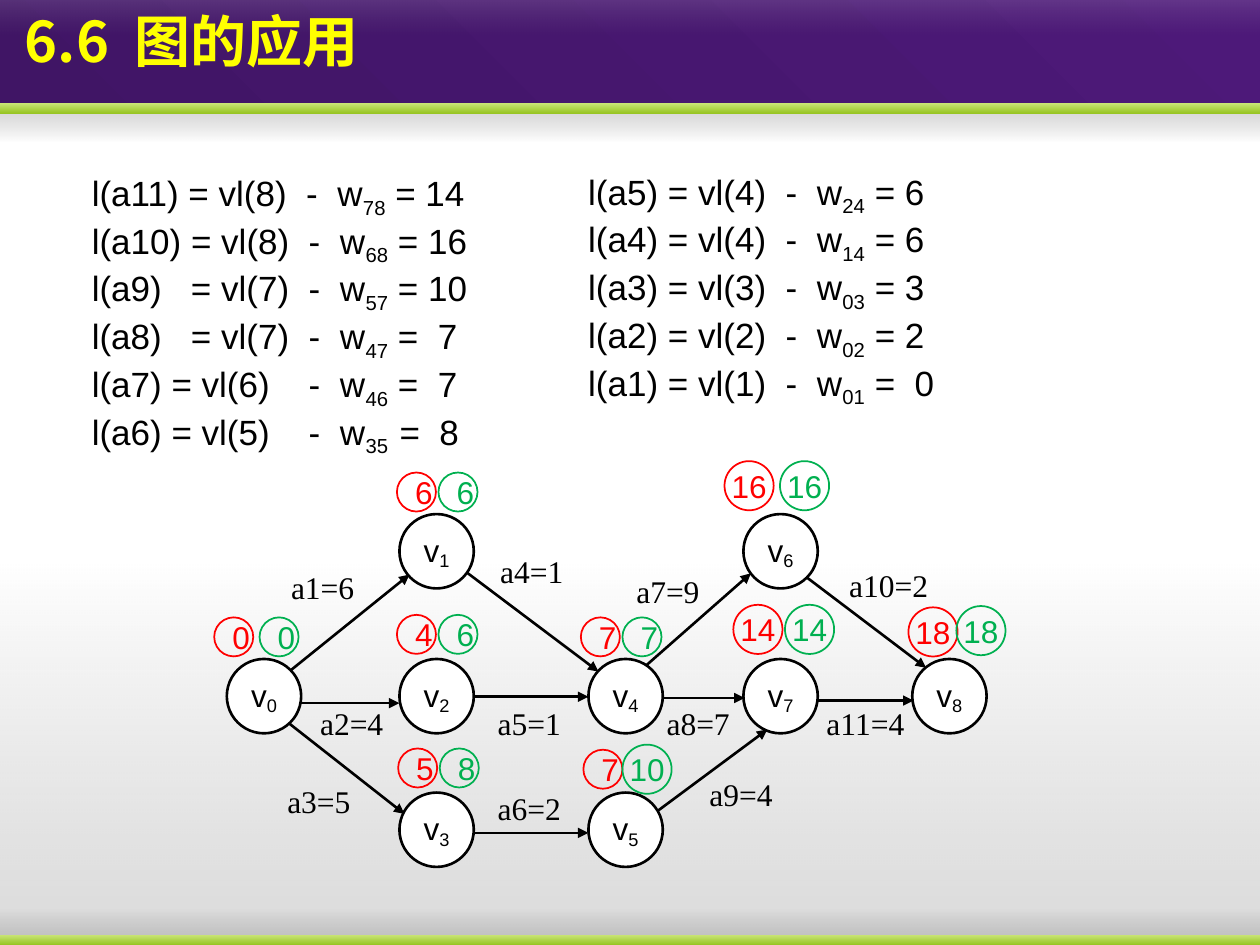
import pptx
import pptx.dml.color
import pptx.enum.shapes
import pptx.enum.text
import pptx.oxml
import pptx.oxml.ns
import pptx.util

Inches = pptx.util.Inches
Pt = pptx.util.Pt
RGBColor = pptx.dml.color.RGBColor
SHAPE = pptx.enum.shapes.MSO_SHAPE
MIDDLE = pptx.enum.text.MSO_ANCHOR.MIDDLE

BLACK = RGBColor(0, 0, 0)
WHITE = RGBColor(255, 255, 255)
RED = RGBColor(255, 0, 0)
GREEN = RGBColor(0, 0xB0, 0x50)
YELLOW = RGBColor(255, 255, 0)
SILVER = RGBColor(0xB6, 0xB6, 0xB6)
DARK_GRAY = RGBColor(0x5C, 0x5C, 0x5C)
GRAY = RGBColor(0x80, 0x80, 0x80)
LIME = RGBColor(0xC9, 0xE5, 0x76)
LEAF = RGBColor(0x97, 0xC5, 0x23)
DEEP_PURPLE = RGBColor(0x40, 0x15, 0x65)
PURPLE = RGBColor(0x4D, 0x19, 0x79)

LATE_START_LEFT = [
    ("l(a11) = vl(8)  -  w", "78", " = 14"),
    ("l(a10) = vl(8)  -  w", "68", " = 16"),
    ("l(a9)   = vl(7)  -  w", "57", " = 10"),
    ("l(a8)   = vl(7)  -  w", "47", " =  7"),
    ("l(a7) = vl(6)    -  w", "46", " =  7"),
    ("l(a6) = vl(5)    -  w", "35  ", "=  8"),
]
LATE_START_RIGHT = [
    ("l(a5) = vl(4)  -  w", "24", " = 6"),
    ("l(a4) = vl(4)  -  w", "14", " = 6"),
    ("l(a3) = vl(3)  -  w", "03", " = 3"),
    ("l(a2) = vl(2)  -  w", "02", " = 2"),
    ("l(a1) = vl(1)  -  w", "01", " =  0"),
]
COLUMNS = [0.1, 1.47, 2.97, 4.2, 5.54]
ROWS = [0.42, 1.57, 2.63]
VERTEX_CELLS = [(0, 1), (1, 0), (1, 1), (1, 2), (2, 1), (2, 2), (3, 0), (3, 1), (4, 1)]
ACTIVITIES = [
    ("a1=6", (0.61, 0.88), (0.57, 1.69), (1.55, 0.9)),
    ("a2=4", (0.84, 1.96), (0.68, 1.92), (1.47, 1.92)),
    ("a3=5", (0.58, 2.58), (0.58, 2.07), (1.51, 2.8)),
    ("a4=1", (2.27, 0.75), (1.96, 0.85), (3.05, 1.67)),
    ("a5=1", (2.25, 1.96), (1.96, 1.87), (2.97, 1.87)),
    ("a6=2", (2.25, 2.63), (1.97, 2.95), (2.97, 2.95)),
    ("a7=9", (3.35, 0.91), (3.35, 1.69), (4.26, 0.89)),
    ("a8=7", (3.59, 1.96), (3.42, 1.88), (4.21, 1.88)),
    ("a9=4", (3.93, 2.52), (3.42, 2.85), (4.39, 2.13)),
    ("a10=2", (5.04, 0.86), (4.62, 0.86), (5.65, 1.64)),
    ("a11=4", (4.86, 1.96), (4.76, 1.9), (5.55, 1.9)),
]
EVENT_TIMES = [
    (("0", 0, 1.24), ("0", 0.36, 1.24)),
    (("6", 1.45, 0.09), ("6", 1.78, 0.09)),
    (("4", 1.45, 1.22), ("6", 1.78, 1.22)),
    (("5", 1.46, 2.28), ("8", 1.79, 2.28)),
    (("7", 2.91, 1.24), ("7", 3.24, 1.24)),
    (("7", 2.93, 2.29), ("10", 3.24, 2.25)),
    (("16", 4.05, 0), ("16", 4.49, 0)),
    (("14", 4.12, 1.14), ("14", 4.53, 1.14)),
    (("18", 5.51, 1.16), ("18", 5.89, 1.15)),
]


def xml_child(parent, tag, **attributes):
    child = pptx.oxml.parse_xml(f"<a:{tag} {pptx.oxml.ns.nsdecls('a')}/>")
    for key, value in attributes.items():
        child.set(key, str(value))
    parent.append(child)


def format_run(run, size, font, color):
    run.font.size = Pt(size)
    run.font.name = font
    run.font.color.rgb = color


def add_runs(paragraph, pieces, size, subscript):
    for index, piece in enumerate(pieces):
        run = paragraph.add_run()
        run.text = piece
        format_run(run, size, "Arial", BLACK)
        if index == 1:
            run._r.get_or_add_rPr().set("baseline", str(subscript * 1000))


def clear_margins(frame):
    frame.margin_left = frame.margin_right = frame.margin_top = frame.margin_bottom = 0


def add_band(slide, left, top, width, height, colors, alphas=(100, 100), angle=270, turn=0):
    band = slide.shapes.add_shape(
        SHAPE.RECTANGLE, Inches(left), Inches(top), Inches(width), Inches(height))
    band.shadow.inherit = False
    band.line.fill.background()
    band.rotation = turn
    band.fill.gradient()
    band.fill.gradient_angle = angle
    for stop, color, alpha in zip(band.fill.gradient_stops, colors, alphas):
        stop.color.rgb = color
        if alpha < 100:
            xml_child(stop._gs[0], "alpha", val=alpha * 1000)


def add_footer(slide, left, bottom, width):
    shade = (DARK_GRAY, GRAY)
    add_band(slide, left, bottom - 0.28, width, 0.24, shade, (0, 33))
    add_band(slide, left, bottom - 3.04, width, 3.04, shade, (0, 29))
    add_band(slide, left, bottom - 0.08, width, 0.08, (LIME, LEAF))


def add_header(slide, left, top, width, height):
    add_band(slide, left, top, width, height, (DEEP_PURPLE, PURPLE), angle=45)
    add_band(slide, left, top + height - 0.02, width, 0.24, (DARK_GRAY, GRAY), (0, 33), turn=180)
    add_band(slide, left, top + height - 0.08, width, 0.08, (LIME, LEAF))
    add_band(slide, left, top, width, 0.28, (WHITE, SILVER), (13, 0))
    title = slide.shapes.add_textbox(
        Inches(left + 0.1), Inches(top), Inches(width - 0.1), Inches(height))
    title.text_frame.word_wrap = True
    title.text_frame.text = "6.6  图的应用"
    heading = title.text_frame.paragraphs[0].runs[0]
    format_run(heading, 32, "Noto Sans CJK SC", YELLOW)
    heading.font.bold = True
    xml_child(heading._r.get_or_add_rPr(), "ea", typeface="Noto Sans CJK SC")


def add_formulas(slide, left, top, width, height, formulas):
    box = slide.shapes.add_textbox(Inches(left), Inches(top), Inches(width), Inches(height))
    frame = box.text_frame
    frame.word_wrap = True
    for index, formula in enumerate(formulas):
        paragraph = frame.add_paragraph() if index else frame.paragraphs[0]
        add_runs(paragraph, formula, 20, -25)


def add_activity(slide, left, top, label, place, start, end):
    arrow = slide.shapes.add_connector(
        pptx.enum.shapes.MSO_CONNECTOR.STRAIGHT,
        Inches(left + start[0]), Inches(top + start[1]),
        Inches(left + end[0]), Inches(top + end[1]))
    arrow.line.color.rgb = BLACK
    arrow.line.width = Pt(1.5)
    xml_child(arrow.line._get_or_add_ln(), "tailEnd", type="triangle")
    xml_child(arrow._element.spPr, "effectLst")
    width = 0.7 if len(label) > 4 else 0.59
    weight = slide.shapes.add_textbox(
        Inches(left + place[0]), Inches(top + place[1]), Inches(width), Inches(0.24))
    frame = weight.text_frame
    frame.word_wrap = True
    frame.vertical_anchor = MIDDLE
    clear_margins(frame)
    frame.text = label
    format_run(frame.paragraphs[0].runs[0], 18, "Times New Roman", BLACK)


def add_circle(slide, left, top, size, color, line_width):
    circle = slide.shapes.add_shape(
        SHAPE.OVAL, Inches(left), Inches(top), Inches(size), Inches(size))
    circle.shadow.inherit = False
    circle.line.color.rgb = color
    circle.line.width = Pt(line_width)
    circle.text_frame.vertical_anchor = MIDDLE
    circle.text_frame.paragraphs[0].alignment = pptx.enum.text.PP_ALIGN.CENTER
    return circle


def add_vertex(slide, left, top, number):
    vertex = add_circle(slide, left, top, 0.59, BLACK, 1.5)
    vertex.fill.solid()
    vertex.fill.fore_color.rgb = WHITE
    vertex.text_frame.word_wrap = False
    add_runs(vertex.text_frame.paragraphs[0], ("v", str(number)), 18, -18)


def add_event_time(slide, left, top, time, color):
    wide = len(time) > 1
    badge = add_circle(slide, left, top, 0.39 if wide else 0.31, color, 1)
    badge.fill.background()
    if wide:
        clear_margins(badge.text_frame)
        badge.text_frame.word_wrap = False
    paragraph = badge.text_frame.paragraphs[0]
    paragraph.text = time
    format_run(paragraph.runs[0], 18, "Arial", color)


def add_network(slide, left, top):
    for activity in ACTIVITIES:
        add_activity(slide, left, top, *activity)
    for number, (column, row) in enumerate(VERTEX_CELLS):
        add_vertex(slide, left + COLUMNS[column], top + ROWS[row], number)
    for times in EVENT_TIMES:
        for (time, x, y), color in zip(times, (RED, GREEN)):
            add_event_time(slide, left + x, top + y, time, color)


def main():
    deck = pptx.Presentation()
    deck.slide_width = Inches(10)
    deck.slide_height = Inches(7.5)
    slide = deck.slides.add_slide(deck.slide_layouts[6])
    add_footer(slide, 0, 7.5, 10)
    add_header(slide, 0, 0, 10, 0.9)
    add_formulas(slide, 0.63, 1.31, 3.59, 2.12, LATE_START_LEFT)
    add_formulas(slide, 4.57, 1.3, 3.34, 1.78, LATE_START_RIGHT)
    add_network(slide, 1.7, 3.66)
    deck.save("out.pptx")


if __name__ == "__main__":
    main()
